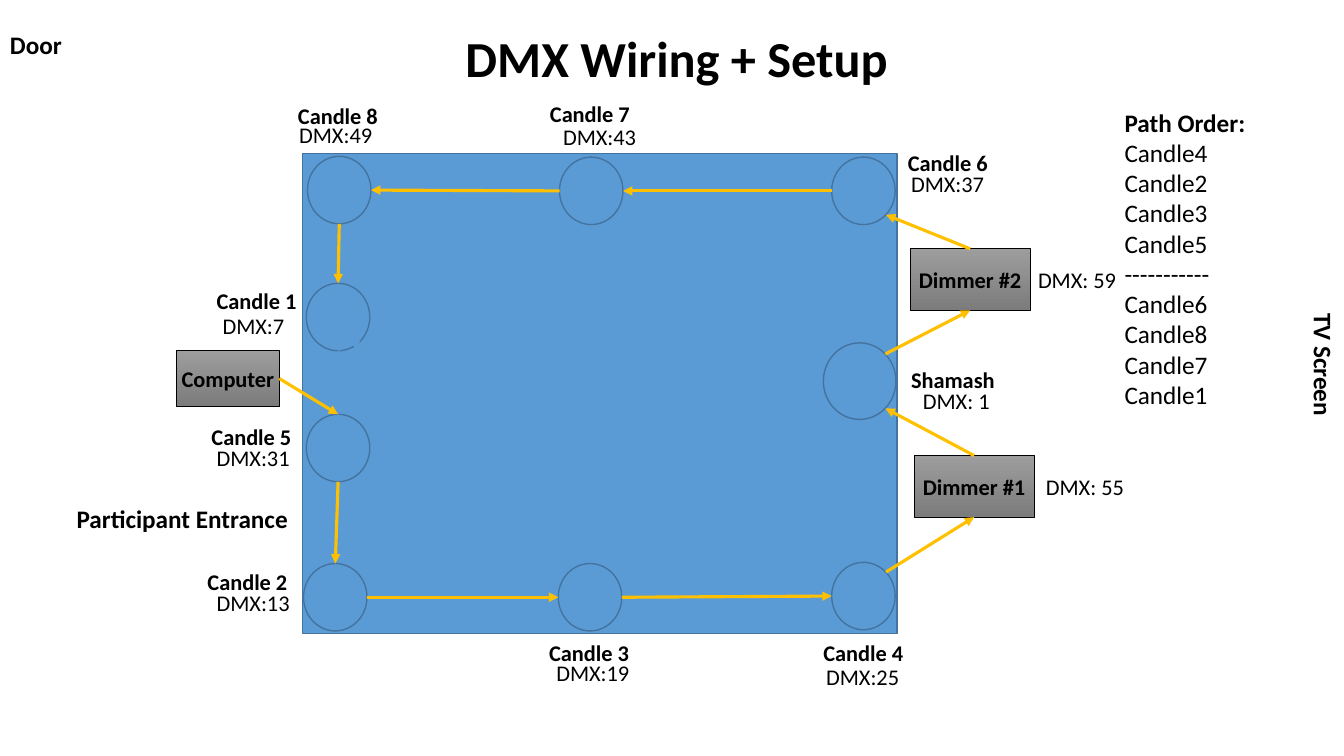
import pptx
import pptx.dml.color
import pptx.enum.shapes
import pptx.enum.text
import pptx.oxml
import pptx.oxml.ns
import pptx.util
from pptx.util import Cm

RGBColor = pptx.dml.color.RGBColor
BLACK = RGBColor(0x00, 0x00, 0x00)
BLUE = RGBColor(0x5B, 0x9B, 0xD5)
DARK_BLUE = RGBColor(0x43, 0x73, 0x9E)
GOLD = RGBColor(0xFF, 0xC0, 0x00)
LIGHT_GRAY = RGBColor(0x9D, 0x9D, 0x9D)
DARK_GRAY = RGBColor(0x7C, 0x7C, 0x7C)

SHAPE = pptx.enum.shapes.MSO_SHAPE
ANCHOR = pptx.enum.text.MSO_ANCHOR
ALIGN = pptx.enum.text.PP_ALIGN

TOP, LEFT, BOTTOM, RIGHT = range(4)
NORTH, SOUTH, WEST, EAST = (0, -1), (0, 1), (-1, 0), (1, 0)
NORTH_EAST, SOUTH_EAST = (0.71, -0.71), (0.71, 0.71)

# Name: (left, top, width, height) in centimetres
LIGHTS = {
    "Candle 2": (7.65, 14.2, 1.6, 1.7),
    "Candle 8": (7.75, 3.94, 1.6, 1.7),
    "Candle 6": (20.96, 3.96, 1.6, 1.7),
    "Candle 4": (20.96, 14.17, 1.6, 1.7),
    "Candle 5": (7.72, 10.44, 1.6, 1.7),
    "Candle 3": (14.07, 14.2, 1.6, 1.7),
    "Candle 7": (14.1, 3.96, 1.6, 1.7),
    "Candle 1": (7.72, 7.14, 1.6, 1.7),
    "Shamash": (20.75, 8.64, 1.83, 1.93),
}
DEVICES = {
    "Computer": (4.45, 8.84, 2.59, 1.4),
    "Dimmer #1": (23.04, 11.48, 3.02, 1.55),
    "Dimmer #2": (22.94, 6.27, 3.02, 1.55),
}

# Text: (left, top, width) in centimetres
NAME_LABELS = {
    "Candle 1": (5.21, 7.11, 2.54),
    "Candle 2": (4.98, 14.2, 2.54),
    "Candle 3": (13.59, 15.98, 2.54),
    "Candle 4": (20.5, 15.98, 2.54),
    "Candle 5": (5.08, 10.54, 2.54),
    "Candle 6": (22.63, 3.63, 2.54),
    "Candle 7": (13.61, 2.39, 2.54),
    "Candle 8": (7.26, 2.44, 2.54),
    "Shamash": (22.71, 9.09, 2.64),
}
ADDRESS_LABELS = {
    "DMX:7": (5.36, 7.75, 2.13),
    "DMX:13": (5.21, 14.71, 2.36),
    "DMX:19": (13.77, 16.48, 2.36),
    "DMX:25": (20.57, 16.59, 2.36),
    "DMX:31": (5.21, 11.07, 2.36),
    "DMX:37": (22.71, 4.17, 2.36),
    "DMX:43": (13.94, 2.97, 2.36),
    "DMX:49": (7.29, 2.92, 2.36),
    "DMX: 1": (23.01, 9.63, 2.21),
    "DMX: 55": (26.11, 11.79, 2.51),
    "DMX: 59": (25.91, 6.58, 2.51),
}
PLACE_LABELS = {
    "Door": (0, 0.61, 1.83),
    "Participant Entrance": (1.68, 12.55, 5.89),
    "TV Screen": (31.8, 8.69, 3.12),
}

# Start, side it leaves from, end, side it arrives at
CABLES = [
    ("Computer", RIGHT, "Candle 5", NORTH),
    ("Candle 5", SOUTH, "Candle 2", NORTH),
    ("Candle 2", EAST, "Candle 3", WEST),
    ("Candle 3", EAST, "Candle 4", WEST),
    ("Candle 4", NORTH_EAST, "Dimmer #1", BOTTOM),
    ("Dimmer #1", TOP, "Shamash", SOUTH_EAST),
    ("Shamash", NORTH_EAST, "Dimmer #2", BOTTOM),
    ("Dimmer #2", TOP, "Candle 6", SOUTH_EAST),
    ("Candle 6", WEST, "Candle 7", EAST),
    ("Candle 7", WEST, "Candle 8", EAST),
    ("Candle 8", SOUTH, "Candle 1", NORTH),
]
PATH_ORDER = ["Path Order:", "Candle4", "Candle2", "Candle3", "Candle5\v-----------",
              "Candle6", "Candle8", "Candle7", "Candle1"]


def format_runs(paragraph, size, bold):
    for run in paragraph.runs:
        run.font.name = "Calibri"
        run.font.size = pptx.util.Pt(size)
        run.font.bold = bold
        run.font.color.rgb = BLACK


def add_outlined(shapes, kind, box, line_color, line_width):
    shape = shapes.add_shape(kind, *map(Cm, box))
    shape.shadow.inherit = False
    shape.line.color.rgb = line_color
    shape.line.width = pptx.util.Pt(line_width)
    return shape


def add_blue(shapes, kind, box):
    shape = add_outlined(shapes, kind, box, DARK_BLUE, 1)
    shape.fill.solid()
    shape.fill.fore_color.rgb = BLUE
    return shape


def add_device(slide, name, box):
    shape = add_outlined(slide.shapes, SHAPE.RECTANGLE, box, BLACK, 0.5)
    shape.fill.gradient()
    shape.fill.gradient_angle = 270
    for stop, color in zip(shape.fill.gradient_stops, (LIGHT_GRAY, DARK_GRAY)):
        stop.color.rgb = color
    for position, stop in enumerate(shape.fill.gradient_stops):
        stop.position = position
    text_frame = shape.text_frame
    text_frame.text = name
    text_frame.word_wrap = False
    text_frame.vertical_anchor = ANCHOR.MIDDLE
    text_frame.paragraphs[0].alignment = ALIGN.CENTER
    format_runs(text_frame.paragraphs[0], 16, True)
    return shape


def add_label(slide, text, place, size, bold):
    left, top, width = place
    height = 0.94 if size == 16 else 1.02
    label = slide.shapes.add_textbox(Cm(left), Cm(top), Cm(width), Cm(height))
    label.text_frame.text = text
    label.text_frame.word_wrap = False
    format_runs(label.text_frame.paragraphs[0], size, bold)
    return label


def add_arrow(slide, start, end, color, width):
    arrow = slide.shapes.add_connector(
        pptx.enum.shapes.MSO_CONNECTOR.STRAIGHT, *start, *end)
    arrow.line.color.rgb = color
    arrow.line.width = pptx.util.Pt(width)
    properties = arrow._element.spPr
    head = pptx.oxml.parse_xml(
        '<a:tailEnd %s type="triangle"/>' % pptx.oxml.ns.nsdecls("a"))
    arrow.line._get_or_add_ln().append(head)
    properties.append(pptx.oxml.parse_xml(
        "<a:effectLst %s/>" % pptx.oxml.ns.nsdecls("a")))
    return arrow


def rim_point(shape, direction):
    across, down = direction
    return (int(shape.left + shape.width * (1 + across) / 2),
            int(shape.top + shape.height * (1 + down) / 2))


def add_cable(slide, parts, cable):
    start, start_side, end, end_side = cable
    points = [(0, 0) if name in DEVICES else rim_point(parts[name], side)
              for name, side in ((start, start_side), (end, end_side))]
    arrow = add_arrow(slide, *points, GOLD, 2.25)
    if start in DEVICES:
        arrow.begin_connect(parts[start], start_side)
    if end in DEVICES:
        arrow.end_connect(parts[end], end_side)


def add_title(slide):
    title = slide.shapes.title
    title.left, title.top, title.width, title.height = map(Cm, (-0.74, -0.3, 35.59, 3.68))
    title.text_frame.text = "DMX Wiring + Setup"
    title.text_frame.vertical_anchor = ANCHOR.MIDDLE
    paragraph = title.text_frame.paragraphs[0]
    paragraph.alignment = ALIGN.CENTER
    paragraph.line_spacing = 0.9
    format_runs(paragraph, 36, True)


def add_path_order(slide):
    box = slide.shapes.add_textbox(Cm(28.09), Cm(2.57), Cm(5.7), Cm(7.95))
    box.text_frame.word_wrap = True
    box.text_frame.text = "\n".join(PATH_ORDER)
    for index, paragraph in enumerate(box.text_frame.paragraphs):
        format_runs(paragraph, 18, index == 0)


def main():
    presentation = pptx.Presentation()
    presentation.slide_width, presentation.slide_height = Cm(33.87), Cm(19.05)
    slide = presentation.slides.add_slide(presentation.slide_layouts[5])
    add_title(slide)

    # Room with its lights, and the devices around it
    room = slide.shapes.add_group_shape().shapes
    add_blue(room, SHAPE.RECTANGLE, (7.62, 3.87, 14.99, 12.09))
    parts = {name: add_blue(room, SHAPE.OVAL, box) for name, box in LIGHTS.items()}
    for name, box in DEVICES.items():
        parts[name] = add_device(slide, name, box)

    # Thin blue arrows below Candle 1
    below = rim_point(parts["Candle 1"], SOUTH)
    for end in ((9.09, 8.59), (8.53, 10.9)):
        add_arrow(slide, below, map(Cm, end), BLUE, 0.5)

    # Cables
    for cable in CABLES:
        add_cable(slide, parts, cable)

    # Labels
    for labels, size, bold in ((NAME_LABELS, 16, True), (ADDRESS_LABELS, 16, False),
                               (PLACE_LABELS, 18, True)):
        for text, place in labels.items():
            label = add_label(slide, text, place, size, bold)
            if text == "TV Screen":
                label.rotation = 90
    add_path_order(slide)
    presentation.save("out.pptx")


if __name__ == "__main__":
    main()
